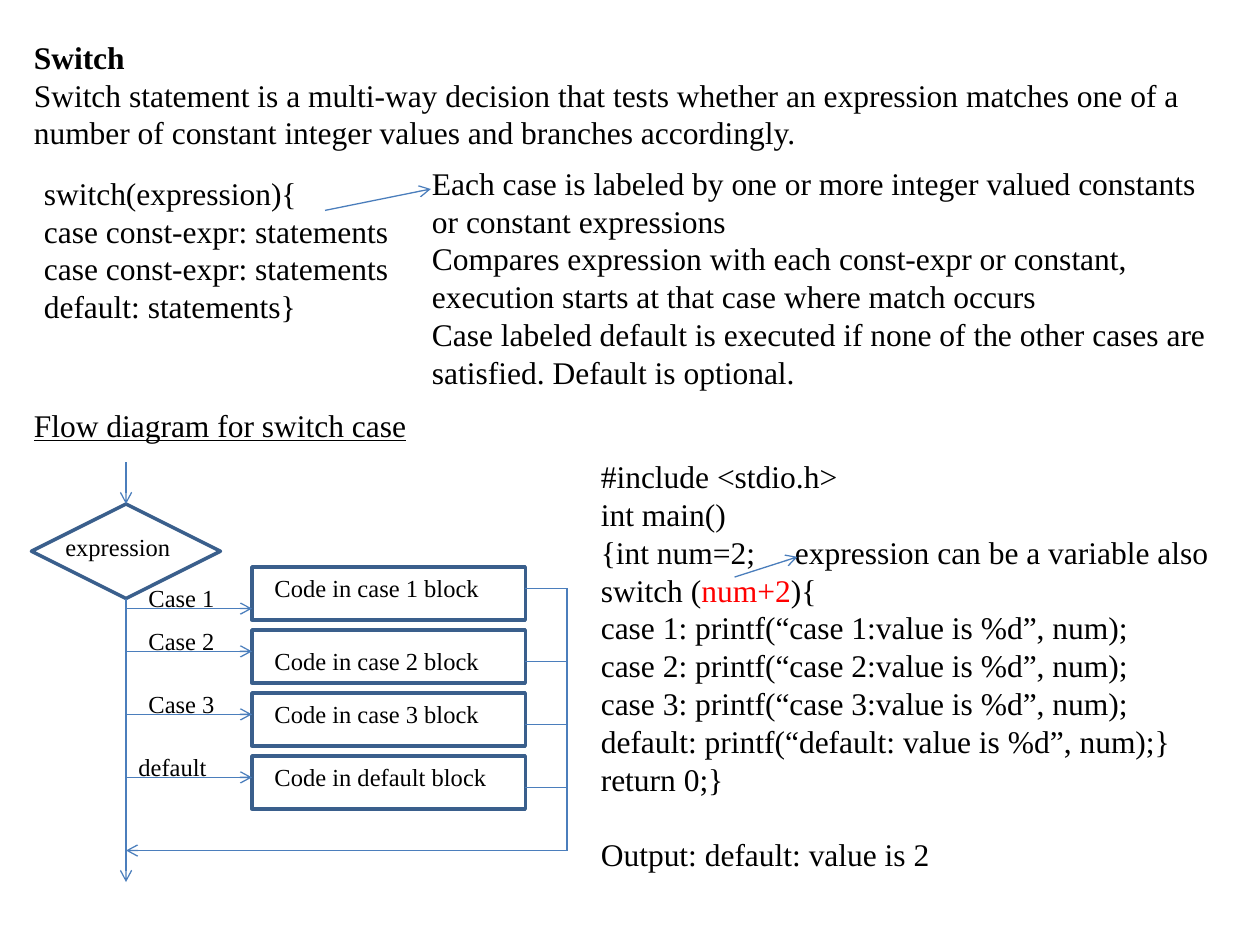
from lxml.etree import SubElement as Sub
from pptx import Presentation
from pptx.dml.color import RGBColor
from pptx.enum.shapes import MSO_CONNECTOR as Conn, MSO_SHAPE as Shape
from pptx.enum.text import MSO_AUTO_SIZE as Auto
from pptx.oxml.ns import qn
from pptx.util import Inches, Pt

BLACK = RGBColor(0x00, 0x00, 0x00)
RED = RGBColor(0xFF, 0x00, 0x00)
EDGE = RGBColor(0x3A, 0x5F, 0x8C)
WIRE = RGBColor(0x4B, 0x7E, 0xBC)


class Board:
    """Holds the text style and the slide being drawn."""

    font = {"name": "Times New Roman", "size": Pt(18)}

    def __init__(self, slide):
        self.slide = slide

    def text(self, x, y, w, h, lines, **style):
        """Add lines; each is a string or a list of (text, format) runs."""
        box = self.slide.shapes.add_textbox(*map(Inches, (x, y, w, h)))
        frame = box.text_frame
        frame.word_wrap = True
        frame.auto_size = Auto.SHAPE_TO_FIT_TEXT
        for i, line in enumerate(lines):
            para = frame.add_paragraph() if i else frame.paragraphs[0]
            runs = [(line, {})] if isinstance(line, str) else line
            for words, extra in runs:
                run = para.add_run()
                run.text = words
                form = {**self.font, **style, **extra}
                run.font.color.rgb = form.pop("color", BLACK)
                for key, value in form.items():
                    setattr(run.font, key, value)
        return frame.paragraphs

    def label(self, x, y, w, words):
        self.text(x, y, w, 0.33, [words], size=Pt(14))

    def block(self, kind, x, y, w, h):
        item = self.slide.shapes.add_shape(kind, *map(Inches, (x, y, w, h)))
        item.shadow.inherit = False
        item.fill.background()
        item.line.color.rgb = EDGE
        item.line.width = Pt(2)

    def wire(self, x1, y1, x2, y2, arrow=True):
        ends = map(Inches, (x1, y1, x2, y2))
        item = self.slide.shapes.add_connector(Conn.STRAIGHT, *ends)
        item.line.color.rgb = WIRE
        item.line.width = Pt(0.75)
        props = item._element.spPr
        if arrow:
            Sub(props.find(qn("a:ln")), qn("a:tailEnd"), type="arrow")
        Sub(props, qn("a:effectLst"))


def add_tab(para, pos):
    stops = Sub(para._p.get_or_add_pPr(), qn("a:tabLst"))
    Sub(stops, qn("a:tab"), pos=str(Inches(pos)), algn="l")


def notes(board):
    board.text(0.17, 0.25, 9.67, 1.01, [
        [("Switch", {"bold": True})],
        "Switch statement is a multi-way decision that tests whether an "
        "expression matches one of a number of constant integer values and "
        "branches accordingly.",
    ])
    case = "case const-expr: statements"
    board.text(0.25, 1.33, 3, 1.31,
               ["switch(expression){", case, case, "default: statements}"])
    board.text(3.33, 1.25, 6.42, 1.92, [
        "Each case is labeled by one or more integer valued constants or "
        "constant expressions",
        "Compares expression with each const-expr or constant, execution "
        "starts at that case where match occurs",
        "Case labeled default is executed if none of the other cases are "
        "satisfied. Default is optional.",
    ])
    board.wire(2.58, 1.67, 3.42, 1.5)


def flow(board):
    board.text(0.17, 3.17, 3.25, 0.4, ["Flow diagram for switch case"],
               underline=True)
    stem, left, right, rail, base = 1, 2, 4.17, 4.5, 6.75
    board.block(Shape.FLOWCHART_DECISION, 0.25, 4, 1.5, 0.75)
    board.label(0.42, 4.17, 1.08, "expression")
    board.wire(stem, 3.67, stem, 4)
    board.wire(stem, 4.75, stem, 7)

    # name, name x, name y, block text, text y, arrow y, exit y
    cases = [
        ("Case 1", 1.08, 4.58, "case 1", 4.5, 4.83, 4.67),
        ("Case 2", 1.08, 4.92, "case 2", 5.08, 5.17, 5.25),
        ("Case 3", 1.08, 5.42, "case 3", 5.5, 5.67, 5.75),
        ("default", 1, 5.92, "default", 6, 6.17, 6.25),
    ]
    for i, (name, x, y, code, code_y, enter, leave) in enumerate(cases):
        board.block(Shape.RECTANGLE, left, 4.5 + i * 0.5, right - left, 0.42)
        board.label(x, y, 0.92, name)
        board.label(2.08, code_y, 2, f"Code in {code} block")
        board.wire(stem, enter, left, enter)
        board.wire(right, leave, rail, leave, arrow=False)
    board.wire(rail, base, rail, cases[0][-1], arrow=False)
    board.wire(rail, base, stem, base)


def sample(board):
    cases = [f"case {n}: printf(“case {n}:value is %d”, num);"
             for n in (1, 2, 3)]
    paras = board.text(4.67, 3.58, 5.08, 3.43, [
        "#include <stdio.h>",
        "int main()",
        "{int num=2;\texpression can be a variable also",
        [("switch (", {}), ("num+2", {"color": RED}), ("){", {})],
        *cases,
        "default: printf(“default: value is %d”, num);}",
        "return 0;}",
        "Output: default: value is 2",
    ])
    add_tab(paras[2], 1.54)
    paras[-1].space_before = Pt(21.6)
    board.wire(5.83, 4.58, 6.33, 4.42)


def main():
    deck = Presentation()
    deck.slide_width, deck.slide_height = Inches(10), Inches(7.5)
    board = Board(deck.slides.add_slide(deck.slide_layouts[6]))
    for part in (notes, flow, sample):
        part(board)
    deck.save("out.pptx")


if __name__ == "__main__":
    main()
